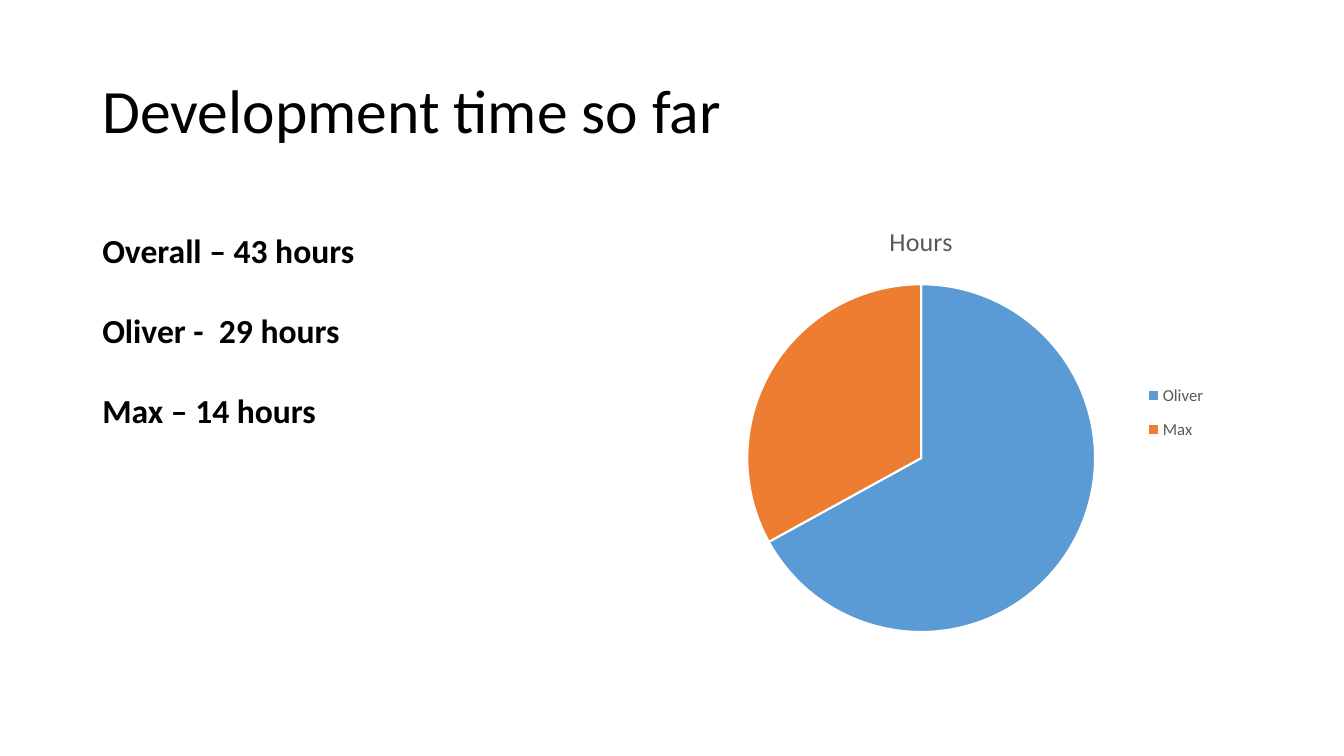
from lxml.etree import SubElement
from pptx import Presentation
from pptx.chart.data import CategoryChartData
from pptx.dml.color import RGBColor
from pptx.enum.chart import XL_CHART_TYPE, XL_LEGEND_POSITION
from pptx.enum.text import MSO_ANCHOR, MSO_AUTO_SIZE
from pptx.oxml.ns import qn
from pptx.util import Pt


def style(font, size, color, bold=False):
    font.name = "Calibri"
    font.size = Pt(size)
    font.bold = bold
    font.color.rgb = RGBColor.from_string(color)


def place(part, index, **box):
    """Give a chart part a fixed place, in fractions of the chart."""
    for old in part.findall(qn("c:layout")):
        part.remove(old)
    layout = SubElement(part, qn("c:layout"))
    part.insert(index, layout)
    manual = SubElement(layout, qn("c:manualLayout"))
    if part.tag == qn("c:plotArea"):
        SubElement(manual, qn("c:layoutTarget")).set("val", "inner")
    for key in ("xMode", "yMode"):
        SubElement(manual, qn("c:" + key)).set("val", "edge")
    for key, val in box.items():
        SubElement(manual, qn("c:" + key)).set("val", str(val))


deck = Presentation()
deck.slide_width, deck.slide_height = Pt(960), Pt(540)
slide = deck.slides.add_slide(deck.slide_layouts[5])

# Title
title = slide.shapes.title
title.left, title.top, title.width, title.height = Pt(66), Pt(29), Pt(828), Pt(104)
frame = title.text_frame
frame.word_wrap = True
frame.auto_size = MSO_AUTO_SIZE.NONE
frame.vertical_anchor = MSO_ANCHOR.MIDDLE
para = frame.paragraphs[0]
para.alignment = 1
para.line_spacing = 0.9
run = para.add_run()
run.text = "Development time so far"
style(run.font, 44, "000000")

# Pie chart
data = CategoryChartData()
data.categories = ["Oliver", "Max"]
data.add_series("Hours", (67, 33))
chart = slide.shapes.add_chart(
    XL_CHART_TYPE.PIE, Pt(244), Pt(145.5), Pt(828), Pt(343), data).chart
style(chart.font, 10, "000000")
chart.has_title = True
run = chart.chart_title.text_frame.paragraphs[0].add_run()
run.text = "Hours"
style(run.font, 18.6, "595959")
chart.chart_title.include_in_layout = False

pie = chart.plots[0]
pie.vary_by_categories = True
for i, color in enumerate(("5B9BD5", "ED7D31")):
    slice = pie.series[0].points[i].format
    slice.fill.solid()
    slice.fill.fore_color.rgb = RGBColor.from_string(color)
    slice.line.color.rgb = RGBColor.from_string("FFFFFF")
    slice.line.width = Pt(1.5)

# Legend and plot places
chart.has_legend = True
legend = chart.legend
legend.position = XL_LEGEND_POSITION.BOTTOM
legend.include_in_layout = False
style(legend.font, 12, "595959")
place(pie._element.getparent(), 0, x=0.35, y=0.16, w=0.3, h=0.74)
place(legend._element, 1, x=0.69, y=0.35, w=0.06, h=0.17)

# Hours list
box = slide.shapes.add_textbox(Pt(66), Pt(160.5), Pt(405), Pt(152.5))
frame = box.text_frame
frame.word_wrap = True
frame.auto_size = MSO_AUTO_SIZE.SHAPE_TO_FIT_TEXT
lines = ("Overall – 43 hours", "Oliver -  29 hours", "Max – 14 hours")
for i, line in enumerate(lines):
    para = frame.add_paragraph() if i else frame.paragraphs[0]
    para.space_before = Pt(28.5 if i else 0)
    run = para.add_run()
    run.text = line
    style(run.font, 24, "000000", True)

deck.save("out.pptx")
